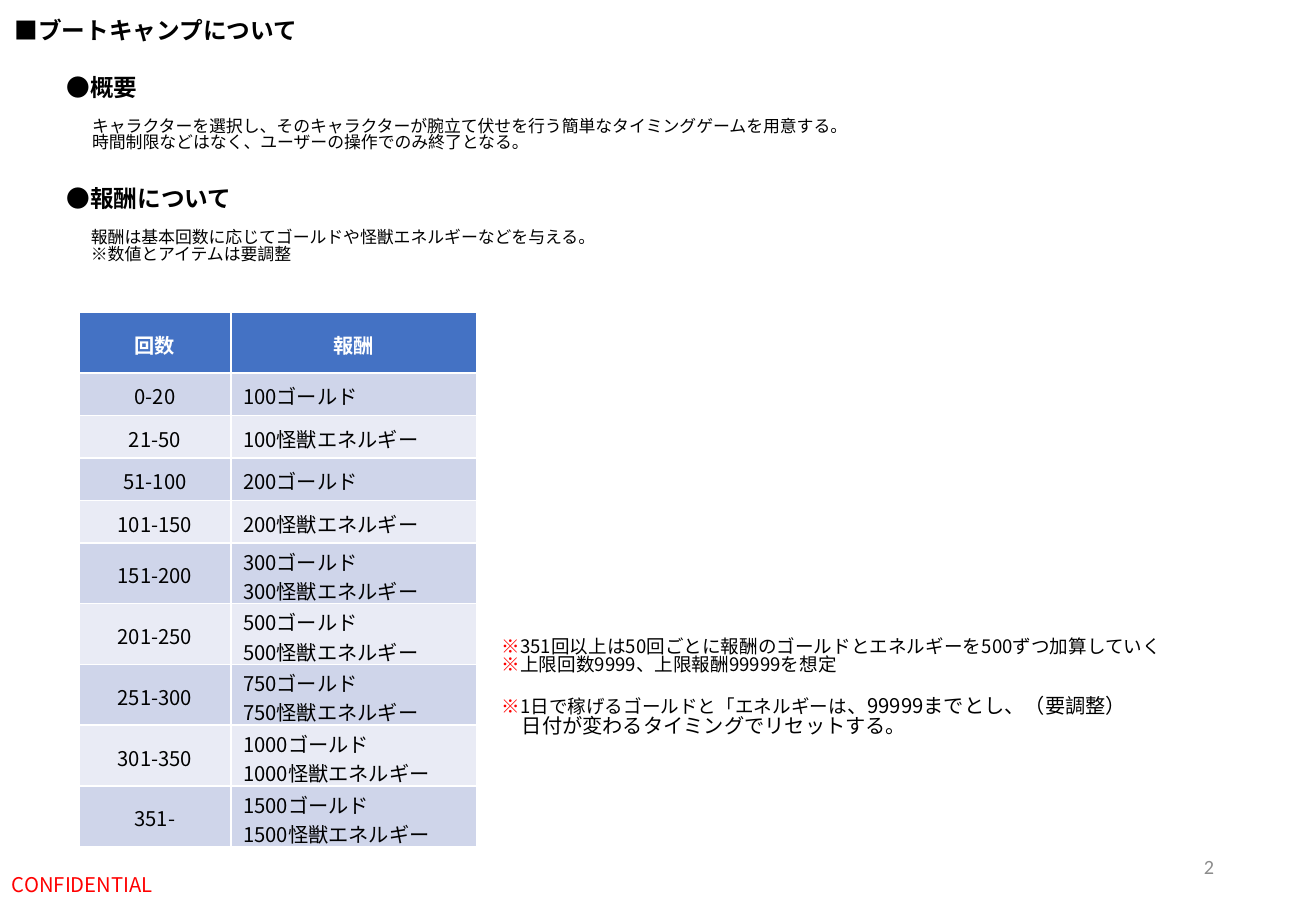
import pptx
import pptx.util
import pptx.dml.color
import pptx.enum.text
import pptx.oxml.ns
import lxml.etree

Inches = pptx.util.Inches
Pt = pptx.util.Pt
ALIGN = pptx.enum.text.PP_ALIGN
MIDDLE = pptx.enum.text.MSO_ANCHOR.MIDDLE
JAPANESE_FONT = "Noto Sans CJK JP"
BLACK, RED, WHITE, GRAY = "000000", "FF0000", "FFFFFF", "8C8C8C"
HEADER_FILL, ROW_FILLS = "4472C4", ("CFD5EA", "E9EBF5")
LINE_SPACING = 0.82

HEADINGS = [
    ("■ブートキャンプについて", (0.02, 0.12, 2.56, 0.34)),
    ("●概要", (0.45, 0.59, 0.79, 0.34)),
    ("●報酬について", (0.45, 1.51, 1.58, 0.34)),
]
BODIES = [
    (("キャラクターを選択し、そのキャラクターが腕立て伏せを行う簡単なタイミングゲームを用意する。",
      "時間制限などはなく、ユーザーの操作でのみ終了となる。"), (0.66, 0.93, 6.99, 0.44)),
    (("報酬は基本回数に応じてゴールドや怪獣エネルギーなどを与える。",
      "※数値とアイテムは要調整"), (0.65, 1.85, 4.41, 0.44)),
]
REWARDS = [
    ("0-20", ["100ゴールド"]),
    ("21-50", ["100怪獣エネルギー"]),
    ("51-100", ["200ゴールド"]),
    ("101-150", ["200怪獣エネルギー"]),
] + [
    (count, [f"{amount}ゴールド", f"{amount}怪獣エネルギー"])
    for count, amount in [("151-200", 300), ("201-250", 500), ("251-300", 750),
                          ("301-350", 1000), ("351-", 1500)]
]
NOTES = [
    [("※", 11, RED), ("351回以上は50回ごとに報酬のゴールドとエネルギーを500ずつ加算していく", 11, BLACK)],
    [("※", 11, RED), ("上限回数9999、上限報酬99999を想定", 11, BLACK)],
    [("※", 11, RED), ("1日で稼げるゴールドと「エネルギーは", 11, BLACK),
     ("、99999までとし、（要調整）", 12, BLACK)],
    [("日付が変わるタイミングでリセットする。", 12, BLACK)],
]


def color(value):
    return pptx.dml.color.RGBColor.from_string(value)


def set_values(target, values):
    for name, value in values.items():
        setattr(target, name, value)


def add_run(paragraph, text, size, text_color, bold=False, font_name=JAPANESE_FONT):
    run = paragraph.add_run()
    run.text = text
    set_values(run.font, {"size": Pt(size), "bold": bold, "name": font_name})
    run.font.color.rgb = color(text_color)
    east_asian = lxml.etree.SubElement(run.font._element, pptx.oxml.ns.qn("a:ea"))
    east_asian.set("typeface", font_name)


def fill_frame(text_frame, lines, alignment=ALIGN.LEFT, spacing=None):
    for index, runs in enumerate(lines):
        paragraph = text_frame.add_paragraph() if index else text_frame.paragraphs[0]
        set_values(paragraph, {"alignment": alignment, "line_spacing": spacing})
        for run in runs:
            add_run(paragraph, *run)


def add_text(slide, box, lines, alignment=ALIGN.LEFT, **frame_values):
    shape = slide.shapes.add_textbox(*map(Inches, box))
    set_values(shape.text_frame, {"word_wrap": True, **frame_values})
    fill_frame(shape.text_frame, lines, alignment, LINE_SPACING)
    return shape.text_frame


def add_notes(slide):
    frame = add_text(slide, (4.03, 5.21, 5.96, 1.25), NOTES, word_wrap=False)
    daily_limit, continuation = frame.paragraphs[2:]
    daily_limit.space_before = Pt(13)
    continuation._p.get_or_add_pPr().set("marL", str(Pt(12)))


def fill_cell(cell, lines, fill, alignment):
    set_values(cell, {"vertical_anchor": MIDDLE, "margin_top": Inches(0.03), "margin_bottom": 0})
    cell.fill.solid()
    cell.fill.fore_color.rgb = color(fill)
    fill_frame(cell.text_frame, lines, alignment)


def add_reward_table(slide):
    frame = slide.shapes.add_table(
        len(REWARDS) + 1, 2, Inches(0.65), Inches(2.57), Inches(3.27), Inches(4.42))
    table = frame.table
    for column, width in zip(table.columns, (1.25, 2.02)):
        column.width = Inches(width)
    table.rows[0].height = Inches(0.5)
    for column, title in enumerate(("回数", "報酬")):
        fill_cell(table.cell(0, column), [[(title, 12, WHITE, True)]], HEADER_FILL, ALIGN.CENTER)
    for index, (count, rewards) in enumerate(REWARDS):
        row = index + 1
        table.rows[row].height = Inches(0.35 if len(rewards) == 1 else 0.5)
        fill = ROW_FILLS[index % 2]
        fill_cell(table.cell(row, 0), [[(count, 12, BLACK)]], fill, ALIGN.CENTER)
        fill_cell(table.cell(row, 1), [[(reward, 12, BLACK)] for reward in rewards],
                  fill, ALIGN.LEFT)


def main():
    presentation = pptx.Presentation()
    set_values(presentation, {"slide_width": Inches(10.83), "slide_height": Inches(7.5)})
    slide = presentation.slides.add_slide(presentation.slide_layouts[6])
    add_text(slide, (7.65, 6.95, 2.44, 0.4), [[("2", 12, GRAY, False, "Calibri")]],
             ALIGN.RIGHT, vertical_anchor=MIDDLE)
    add_text(slide, (0, 7.1, 3.38, 0.4), [[("CONFIDENTIAL", 12, RED)]], vertical_anchor=MIDDLE)
    for heading, box in HEADINGS:
        add_text(slide, box, [[(heading, 14, BLACK, True)]], word_wrap=False)
    for lines, box in BODIES:
        add_text(slide, box, [[(line, 10, BLACK)] for line in lines], word_wrap=False)
    add_reward_table(slide)
    add_notes(slide)
    presentation.save("out.pptx")


if __name__ == "__main__":
    main()
